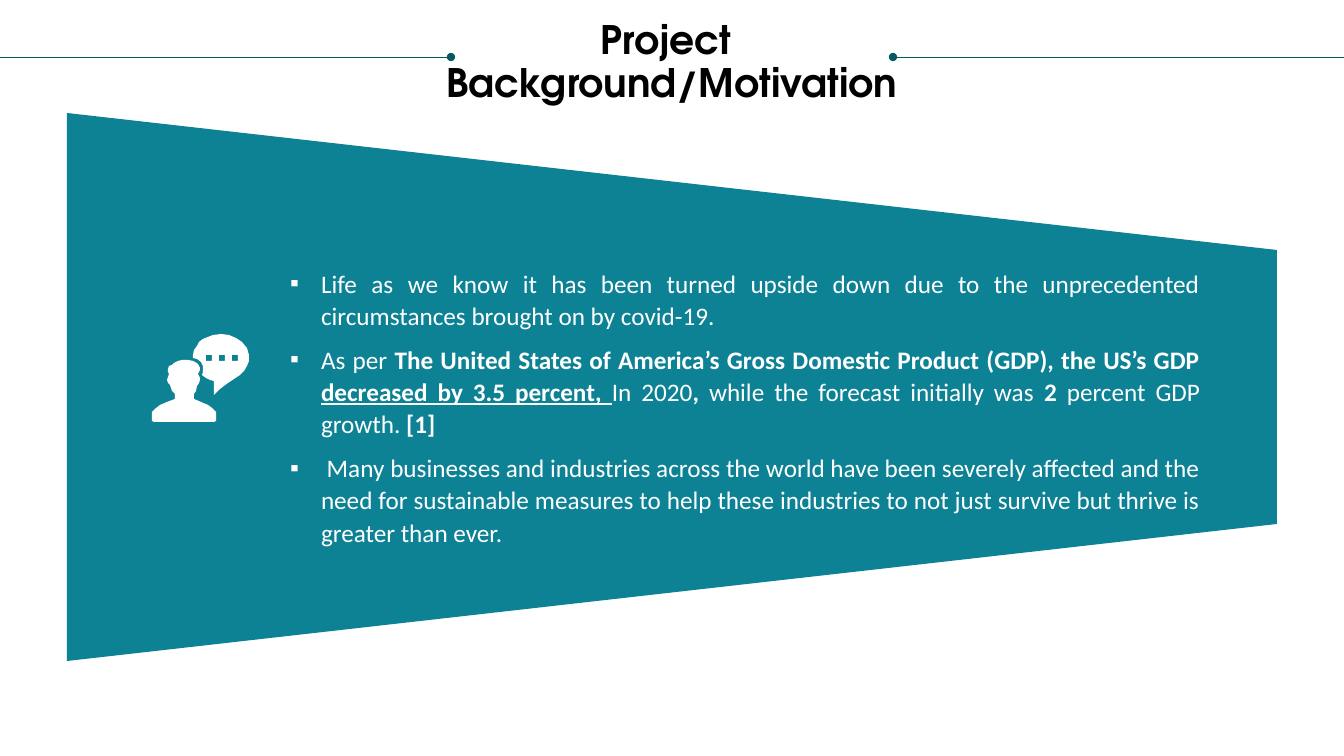
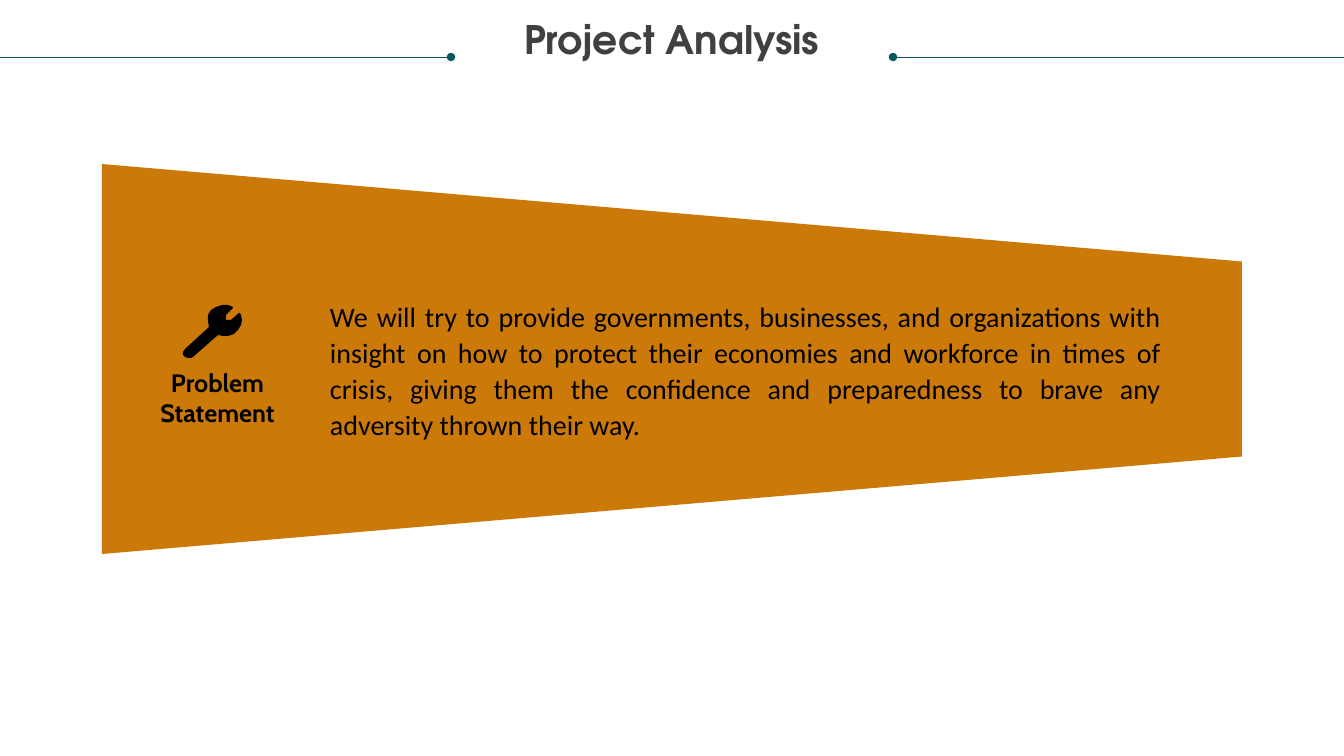
from lxml import etree
from pptx import Presentation
from pptx import util as u
from pptx.dml.color import RGBColor
from pptx.enum import shapes, text
from pptx.oxml import ns

WIDTH, HEIGHT = 1344, 756
SCALE = 12192000 / WIDTH
COLORS = {
    "rule": "085764",
    "teal": "0D8295",
    "orange": "CB7A09",
    "white": "FFFFFF",
    "black": "000000",
    "gray": "404040",
}
TITLE_FONT, BODY_FONT, LABEL_FONT = "TeX Gyre Adventor", "Calibri", "Cabin"
RULE_Y, RULE_LENGTH = 57, 451
BULLET_INDENT = 31

BUBBLE = [
    (28, 0), (20, 1), (15, 3), (10, 5), (6, 8), (4, 12), (1, 16), (0, 21),
    (0, 24), (4, 25), (8, 28), (10, 32), (10, 38), (9, 41), (13, 44),
    (17, 46), (21, 47), (21, 61), (27, 55), (35, 49), (41, 45), (47, 41),
    (51, 37), (54, 32), (56, 27), (56, 21), (54, 14), (49, 8), (43, 4),
    (36, 1),
]
BUBBLE_DOTS = [
    [(x, 21), (x + 6, 21), (x + 6, 27), (x, 27)] for x in (13, 26, 39)
]
PERSON = [
    (60, 48), (56, 45), (49, 42), (42, 39), (42, 34), (44, 31), (45, 26),
    (47, 23), (48, 20), (48, 18), (47, 16), (46, 14), (48, 10), (48, 8),
    (46, 4), (43, 2), (41, 1), (36, 0), (30, 0), (26, 1), (22, 3), (20, 5),
    (17, 6), (16, 9), (16, 12), (17, 14), (16, 17), (15, 20), (16, 23),
    (18, 25), (19, 28), (20, 31), (23, 34), (23, 39), (15, 42), (8, 45),
    (3, 49), (0, 52), (0, 61), (2, 62), (62, 62), (64, 61), (64, 52),
    (62, 50),
]
WRENCH = [
    (57, 8), (56, 8), (48, 15), (43, 15), (43, 10), (50, 3), (50, 2),
    (45, 0), (39, 0), (33, 2), (28, 5), (25, 10), (25, 16), (26, 22),
    (2, 44), (0, 47), (0, 50), (2, 52), (5, 53), (8, 53), (10, 52),
    (35, 30), (40, 31), (45, 31), (51, 29), (55, 25), (58, 20), (59, 15),
    (58, 10),
]

BACKGROUND_POINTS = [
    [("Life as we know it has been turned upside down due to the unprecedented "
      "circumstances brought on by covid-19. ", "")],
    [("As per ", ""),
     ("The United States of America’s Gross Domestic Product (GDP), "
      "the US’s GDP ", "b"),
     ("decreased by 3.5 percent, ", "bu"),
     ("In 2020", ""),
     (",", "b"),
     (" while the forecast initially was ", ""),
     ("2 ", "b"),
     ("percent GDP growth.", ""),
     (" [1]", "b")],
    [(" Many businesses and industries across the world have been severely "
      "affected and the need for sustainable measures to help these industries "
      "to not just survive but thrive is greater than ever.", "")],
]
PROBLEM = [
    [("We will try to provide governments, businesses, and organizations with "
      "insight on how to protect their economies and workforce in times of "
      "crisis, giving them the confidence and preparedness to brave any "
      "adversity thrown their way.", "")],
]


def px(length):
    return u.Emu(round(length * SCALE))


def rgb(color):
    return RGBColor.from_string(COLORS[color])


def place(part, left, top, width, height):
    part.left, part.top = px(left), px(top)
    part.width, part.height = px(width), px(height)


def prepare_frame(part):
    frame = part.text_frame
    frame.word_wrap = True
    frame.auto_size = text.MSO_AUTO_SIZE.NONE
    frame.vertical_anchor = text.MSO_ANCHOR.TOP
    frame.margin_left = frame.margin_top = 0
    frame.margin_right = frame.margin_bottom = 0
    return frame


def style_run(run, font, size, color, bold=False, underline=False):
    run.font.name, run.font.size = font, u.Pt(size)
    run.font.color.rgb = rgb(color)
    run.font.bold, run.font.underline = bold, underline


def paint(shape, color):
    shape.shadow.inherit = False
    shape.fill.solid()
    shape.fill.fore_color.rgb = rgb(color)
    shape.line.fill.background()


def add_title(slide, wording, color):
    title = slide.shapes.title
    place(title, 25, 21, 1293, 86)
    frame = prepare_frame(title)
    frame.text = wording
    for paragraph in frame.paragraphs:
        paragraph.alignment = text.PP_ALIGN.CENTER
        paragraph.line_spacing = 0.9
        for run in paragraph.runs:
            style_run(run, TITLE_FONT, 28, color, bold=True)


def add_title_rules(slide):
    for edge, inner in ((0, RULE_LENGTH), (WIDTH, WIDTH - RULE_LENGTH)):
        rule = slide.shapes.add_connector(
            shapes.MSO_CONNECTOR.STRAIGHT,
            px(edge), px(RULE_Y), px(inner), px(RULE_Y))
        rule.line.color.rgb = rgb("rule")
        rule.line.width = u.Pt(0.5)
        etree.SubElement(rule.line._get_or_add_ln(), ns.qn("a:tailEnd"),
                         type="oval")
        etree.SubElement(rule._element.spPr, ns.qn("a:effectLst"))


def add_panel(slide, box, color):
    left, top, width, height = box
    panel = slide.shapes.add_shape(
        shapes.MSO_SHAPE.TRAPEZOID,
        px(left + (width - height) / 2), px(top + (height - width) / 2),
        px(height), px(width))
    panel.rotation = 90
    paint(panel, color)


def add_outline(parent, left, top, contours, color):
    first, *others = contours
    builder = parent.build_freeform(*first[0], scale=SCALE)
    builder.add_line_segments(first[1:], close=True)
    for contour in others:
        builder.move_to(*contour[0])
        builder.add_line_segments(contour[1:], close=True)
    paint(builder.convert_to_shape(px(left), px(top)), color)


def add_bullet(paragraph):
    properties = paragraph._p.get_or_add_pPr()
    properties.set("marL", str(px(BULLET_INDENT)))
    properties.set("indent", str(px(-BULLET_INDENT)))
    etree.SubElement(properties, ns.qn("a:buFont"), typeface="Arial")
    etree.SubElement(properties, ns.qn("a:buChar"), char="▪")


def remove_bullet(paragraph):
    properties = paragraph._p.get_or_add_pPr()
    properties.set("marL", "0")
    properties.set("indent", "0")
    etree.SubElement(properties, ns.qn("a:buNone"))


def add_body(slide, box, points, size, color, set_bullet):
    body = slide.placeholders[1]
    place(body, *box)
    frame = prepare_frame(body)
    for index, point in enumerate(points):
        paragraph = frame.add_paragraph() if index else frame.paragraphs[0]
        paragraph.alignment = text.PP_ALIGN.JUSTIFY
        paragraph.line_spacing = 1.07
        paragraph.space_before, paragraph.space_after = u.Pt(0), u.Pt(8)
        set_bullet(paragraph)
        for wording, marks in point:
            run = paragraph.add_run()
            run.text = wording
            style_run(run, BODY_FONT, size, color, "b" in marks, "u" in marks)


def add_label(slide, box, wording, color):
    label = slide.shapes.add_textbox(*map(px, box))
    frame = prepare_frame(label)
    frame.text = wording
    paragraph = frame.paragraphs[0]
    paragraph.alignment = text.PP_ALIGN.CENTER
    style_run(paragraph.runs[0], LABEL_FONT, 18, color, bold=True)


def start_slide(deck, title, title_color, box, panel_color):
    slide = deck.slides.add_slide(deck.slide_layouts[1])
    add_title_rules(slide)
    add_panel(slide, box, panel_color)
    add_title(slide, title, title_color)
    tree = slide.shapes._spTree
    tree.append(slide.placeholders[1]._element)
    tree.append(slide.shapes.title._element)
    return slide


def build_background(deck, box):
    slide = start_slide(deck, "Project \nBackground/Motivation", "black",
                        box, "teal")
    left, top, width, height = box
    add_body(slide, (left + 223, top + 153, 910, 282), BACKGROUND_POINTS,
             18, "white", add_bullet)
    talk = slide.shapes.add_group_shape().shapes
    add_outline(talk, left + 126, top + 221, [BUBBLE, *BUBBLE_DOTS], "white")
    add_outline(talk, left + 85, top + 247, [PERSON], "white")


def build_analysis(deck, box):
    slide = start_slide(deck, "Project Analysis", "gray", box, "orange")
    left, top, width, height = box
    add_label(slide, (left + 40, top + 203, 151, 61), "Problem Statement",
              "black")
    add_body(slide, (left + 228, top + 133, 831, 143), PROBLEM,
             20, "black", remove_bullet)
    add_outline(slide.shapes, left + 81, top + 141, [WRENCH], "black")


def main():
    deck = Presentation()
    deck.slide_width, deck.slide_height = px(WIDTH), px(HEIGHT)
    build_background(deck, (67, 113, 1210, 548))
    build_analysis(deck, (102, 164, 1140, 390))
    deck.save("out.pptx")


if __name__ == "__main__":
    main()
